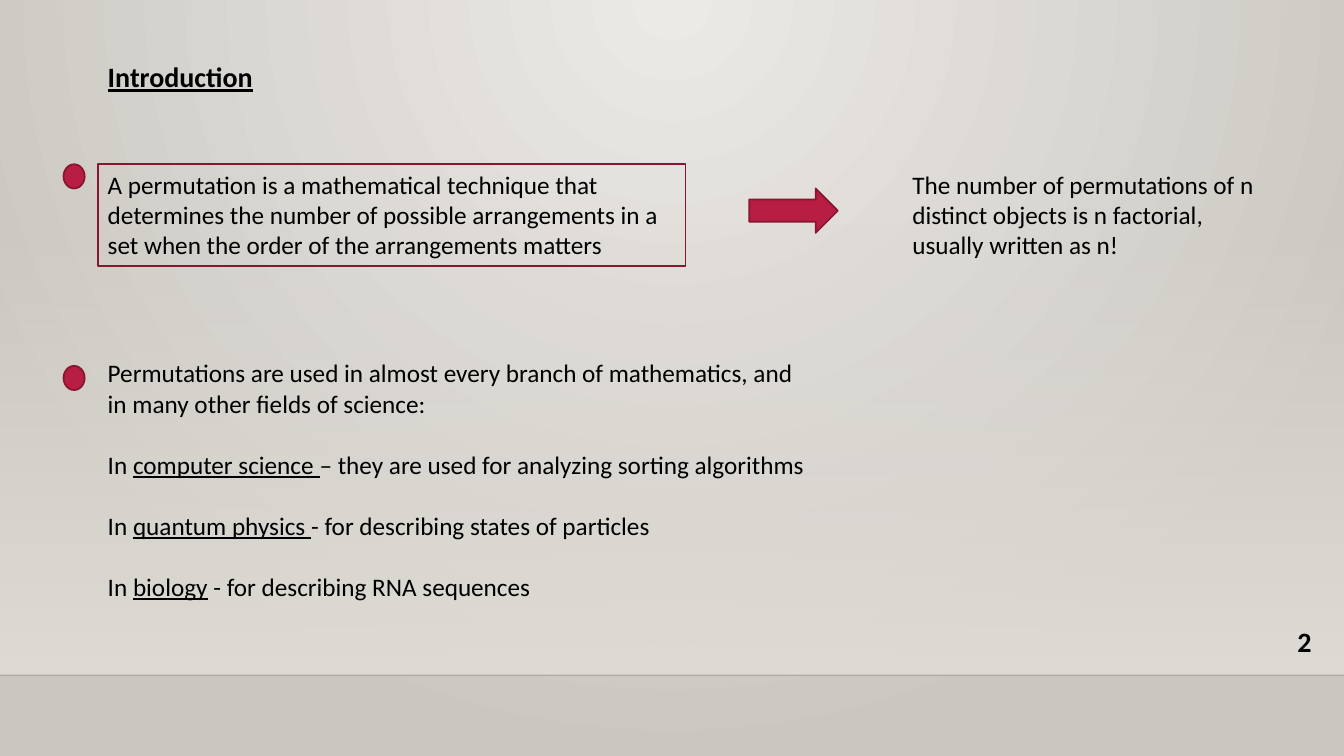
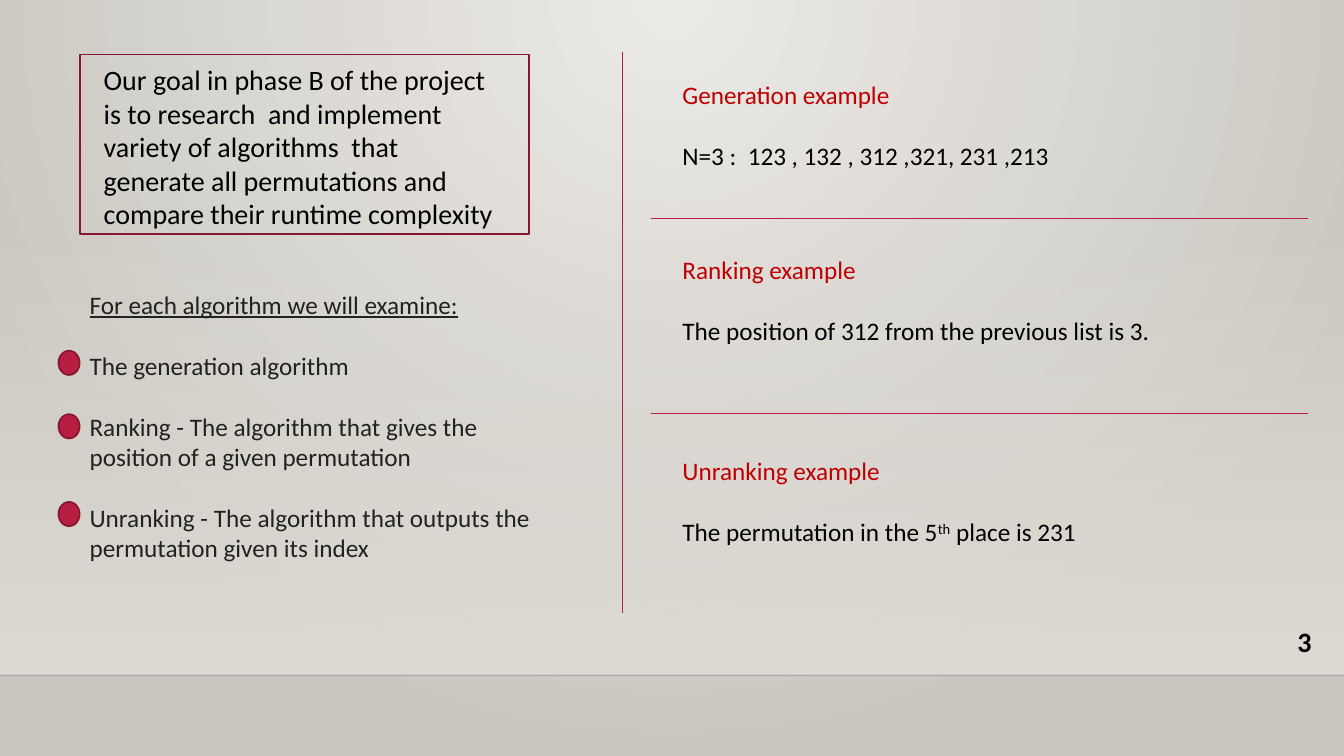
import lxml.etree
import pptx
import pptx.util
import pptx.dml.color
import pptx.enum.shapes
import pptx.oxml.ns
from pptx.util import Inches

FONT = "Calibri"
BLACK, GRAY, RED = "000000", "222222", "C00000"
ACCENT, ACCENT_DARK = "B71E42", "871631"
BG_LIGHT, BG_DARK, FLOOR = "ECEAE7", "CAC7C1", "DFDBD5"
WIDTH, HEIGHT = 13.33, 7.5
LINE_GAP = 22  # one line of 18 pt text
SHAPES = pptx.enum.shapes.MSO_SHAPE
qn = pptx.oxml.ns.qn


def rgb(value):
    return pptx.dml.color.RGBColor.from_string(value)


def add_xml(parent, tag, **attrs):
    child = lxml.etree.SubElement(parent, qn(tag))
    for name, value in attrs.items():
        child.set(name, str(value))
    return child


def set_alpha(element, percent):
    add_xml(element.find(".//" + qn("a:srgbClr")), "a:alpha", val=percent * 1000)


def gradient(fill, *colors):
    fill.gradient()
    for stop, color in zip(fill.gradient_stops, colors):
        stop.color.rgb = rgb(color)


def add_shape(s, kind, x, y, w, h, fill=None, line=ACCENT_DARK):
    sp = s.shapes.add_shape(kind, Inches(x), Inches(y), Inches(w), Inches(h))
    sp.shadow.inherit = False
    if fill:
        sp.fill.solid()
        sp.fill.fore_color.rgb = rgb(fill)
    else:
        sp.fill.background()
    if line:
        sp.line.color.rgb = rgb(line)
        sp.line.width = pptx.util.Pt(1.25)
    else:
        sp.line.fill.background()
    return sp


def add_line(s, x1, y1, x2, y2, color=ACCENT, width=0.75):
    ln = s.shapes.add_connector(pptx.enum.shapes.MSO_CONNECTOR.STRAIGHT,
                                Inches(x1), Inches(y1), Inches(x2), Inches(y2))
    ln.line.color.rgb = rgb(color)
    ln.line.width = pptx.util.Pt(width)
    add_xml(ln.element.spPr, "a:effectLst")
    return ln


def add_text(s, x, y, w, h, paragraphs, size=18, color=BLACK, bold=False, gap=0):
    """Each paragraph is a list of (text, options) runs."""
    tb = s.shapes.add_textbox(Inches(x), Inches(y), Inches(w), Inches(h))
    tf = tb.text_frame
    tf.word_wrap = True
    for i, runs in enumerate(paragraphs):
        p = tf.add_paragraph() if i else tf.paragraphs[0]
        if i:
            p.space_before = pptx.util.Pt(gap)
        for text, opts in runs:
            r = p.add_run()
            r.text = text
            r.font.name = FONT
            r.font.size = pptx.util.Pt(size)
            r.font.bold = bold
            r.font.underline = opts.get("u", False)
            r.font.color.rgb = rgb(opts.get("color", color))
            if "raised" in opts:
                r.font._element.set("baseline", str(opts["raised"] * 1000))


def add_marker(s, x, y):
    add_shape(s, SHAPES.OVAL, x, y, 0.21, 0.24, ACCENT)


def set_background(prs):
    master = prs.slide_master
    gradient(master.background.fill, BG_LIGHT, BG_DARK)
    grad = master.element.find(".//" + qn("p:bg")).find(".//" + qn("a:gradFill"))
    grad.remove(grad.find(qn("a:lin")))
    focus = add_xml(grad, "a:path", path="circle")
    add_xml(focus, "a:fillToRect", l=43000, t=0, r=43000, b=100000)


def base_slide(prs, number):
    s = prs.slides.add_slide(prs.slide_layouts[6])
    # Floor: a fading band closed by a faint line
    band = add_shape(s, SHAPES.RECTANGLE, 0, 2.21, WIDTH, 4.49, line=None)
    gradient(band.fill, FLOOR, FLOOR)
    band.fill.gradient_angle = 270
    set_alpha(band.element, 0)
    edge = add_line(s, 0, 6.7, WIDTH, 6.7, "000001", 1)
    set_alpha(edge.element, 20)
    # Page number
    add_text(s, 12.77, 6.15, 0.56, 0.44, [[(str(number), {})]], size=20, bold=True)
    return s


def definition(s, x, y):
    add_marker(s, x - 0.34, y)
    add_shape(s, SHAPES.RECTANGLE, x, y, 5.83, 1.01)
    add_text(s, x, y, 5.7, 1.01, [[(
        "A permutation is a mathematical technique that determines the number of "
        "possible arrangements in a set when the order of the arrangements matters", {})]])
    add_shape(s, SHAPES.RIGHT_ARROW, x + 6.46, y + 0.24, 0.88, 0.44, ACCENT)
    add_text(s, x + 7.98, y, 3.72, 1.01, [[(
        "The number of permutations of n distinct objects is n factorial, "
        "usually written as n!", {})]])


def uses(s, x, y):
    fields = [("computer science ", "– they are used for analyzing sorting algorithms"),
              ("quantum physics ", "- for describing states of particles"),
              ("biology", " - for describing RNA sequences")]
    paragraphs = [[("Permutations are used in almost every branch of mathematics, "
                    "and in many other fields of science:", {})]]
    paragraphs += [[("In ", {}), (field, {"u": True}), (use, {})] for field, use in fields]
    add_marker(s, x - 0.34, y + 0.13)
    add_text(s, x, y, 7.21, 2.52, paragraphs, gap=LINE_GAP)


def goal(s, x, y):
    add_shape(s, SHAPES.RECTANGLE, x, y, 4.46, 1.78)
    add_text(s, x + 0.14, y + 0.03, 4.18, 1.78, [[(
        "Our goal in phase B of the project is to research  and implement variety of "
        "algorithms  that generate all permutations and compare their runtime "
        "complexity", {})]], size=20)


def examined(s, x, y):
    add_text(s, x, y, 4.7, 3.13, [
        [("For each algorithm we will examine:", {"u": True})],
        [("The generation algorithm", {})],
        [("Ranking - The algorithm that gives the position of a given permutation", {})],
        [("Unranking - The algorithm that outputs the permutation given its index", {})],
    ], color=GRAY, gap=LINE_GAP)
    for dy in (0.66, 1.29, 2.16):
        add_marker(s, x - 0.21, y + dy)


def examples(s, x, y):
    add_line(s, x, y, x, y + 5.56)
    for dy in (1.65, 3.58):
        add_line(s, x + 0.29, y + dy, x + 6.8, y + dy)
    blocks = [
        (0.22, 3.98, "Generation example", [("N=3 :  123 , 132 , 312 ,321, 231 ,213", {})]),
        (1.95, 4.96, "Ranking example",
         [("The position of 312 from the previous list is 3.", {})]),
        (3.95, 4.18, "Unranking example",
         [("The permutation in the 5", {}), ("th", {"raised": 30}), (" place is 231", {})]),
    ]
    for dy, w, heading, body in blocks:
        add_text(s, x + 0.5, y + dy, w, 1.01, [[(heading, {"color": RED})], body],
                 gap=LINE_GAP)


def introduction_slide(prs):
    s = base_slide(prs, 2)
    add_text(s, 0.97, 0.54, 7.21, 0.44, [[("Introduction", {"u": True})]],
             size=20, bold=True)
    definition(s, 0.97, 1.63)
    uses(s, 0.97, 3.5)


def goal_slide(prs):
    s = base_slide(prs, 3)
    goal(s, 0.79, 0.54)
    examined(s, 0.79, 2.82)
    examples(s, 6.17, 0.52)


def main():
    prs = pptx.Presentation()
    prs.slide_width, prs.slide_height = Inches(WIDTH), Inches(HEIGHT)
    set_background(prs)
    introduction_slide(prs)
    goal_slide(prs)
    prs.save("out.pptx")


if __name__ == "__main__":
    main()
